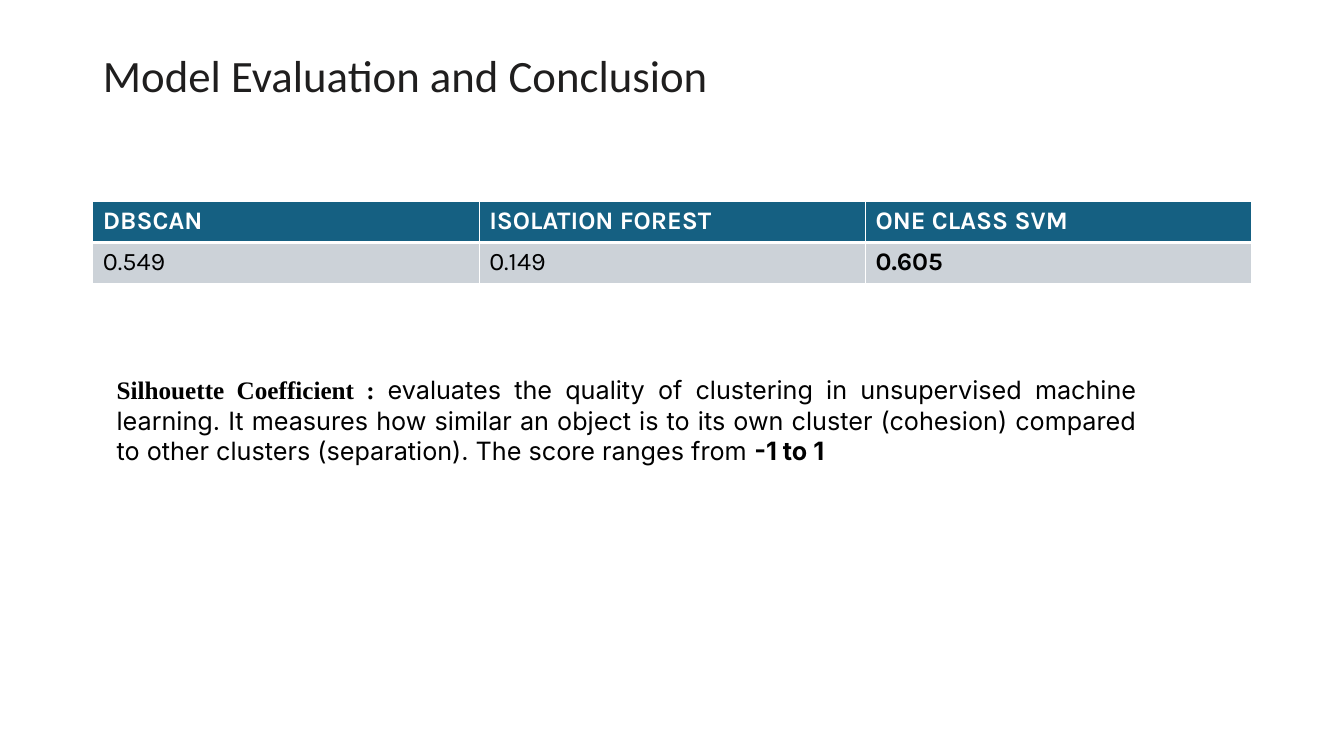
from dataclasses import dataclass

from lxml.etree import SubElement
from pptx import Presentation
from pptx.dml.color import RGBColor as RGB
from pptx.enum.text import MSO_ANCHOR as ANCHOR, MSO_AUTO_SIZE as FIT, PP_ALIGN as ALIGN
from pptx.oxml.ns import qn
from pptx.util import Cm, Pt


@dataclass(frozen=True)
class Theme:
    title_font: str = "Calibri"
    table_font: str = "Karla"
    term_font: str = "Times New Roman"
    body_font: str = "Inter"
    title_size: int = 32
    text_size: int = 18
    title: str = "1F1E1E"
    text: str = "000000"
    light: str = "FFFFFF"
    header: str = "156082"
    band: str = "CCD2D8"


def apply(obj, formats):
    for name, value in formats.items():
        setattr(obj, name, value)


class Deck:
    def __init__(self, theme):
        self.theme = theme
        self.prs = Presentation()
        apply(self.prs, {"slide_width": Cm(33.87), "slide_height": Cm(19.05)})
        self.s = self.prs.slides.add_slide(self.prs.slide_layouts[5])

    def run(self, p, text, font, color, size=None, bold=False):
        r = p.add_run()
        r.text = text
        apply(r.font, {"name": font, "size": Pt(size or self.theme.text_size), "bold": bold})
        r.font.color.rgb = RGB.from_string(color)

    def title(self, text, left, top, width, height):
        t = self.theme
        sp = self.s.shapes.title
        apply(sp, {"left": Cm(left), "top": Cm(top), "width": Cm(width), "height": Cm(height)})
        tf = sp.text_frame
        apply(tf, {"auto_size": FIT.NONE, "word_wrap": True,
                   "vertical_anchor": ANCHOR.TOP, "margin_top": Cm(0.34)})
        p = tf.paragraphs[0]
        apply(p, {"alignment": ALIGN.LEFT, "line_spacing": 0.9})
        self.run(p, text, t.title_font, t.title, t.title_size)

    def borders(self, cell, widths):
        tc_pr = cell._tc.get_or_add_tcPr()
        for i, (side, width) in enumerate(widths.items()):
            ln = SubElement(tc_pr, qn(f"a:ln{side}"), w=str(Pt(width)))
            fill = SubElement(ln, qn("a:solidFill"))
            SubElement(fill, qn("a:srgbClr"), val=self.theme.light)
            tc_pr.insert(i, ln)

    def table(self, scores, best, left, top, width, row_height):
        t = self.theme
        rows = [list(scores), list(scores.values())]
        table = self.s.shapes.add_table(len(rows), len(scores), Cm(left), Cm(top),
                                        Cm(width), Cm(row_height * len(rows))).table
        table.horz_banding = False
        for i, row in enumerate(rows):
            is_header = i == 0
            fill, color = (t.header, t.light) if is_header else (t.band, t.text)
            for j, text in enumerate(row):
                cell = table.cell(i, j)
                cell.fill.solid()
                cell.fill.fore_color.rgb = RGB.from_string(fill)
                self.run(cell.text_frame.paragraphs[0], text, t.table_font, color,
                         bold=is_header or rows[0][j] == best)
                self.borders(cell, {"L": 1, "R": 1, "T": 1 if is_header else 3,
                                    "B": 3 if is_header else 1})

    def paragraph(self, parts, left, top, width, height, margin_right):
        tf = self.s.shapes.add_textbox(Cm(left), Cm(top), Cm(width), Cm(height)).text_frame
        apply(tf, {"word_wrap": True, "auto_size": FIT.SHAPE_TO_FIT_TEXT,
                   "margin_right": Cm(margin_right)})
        p = tf.paragraphs[0]
        p.alignment = ALIGN.JUSTIFY
        for text, font, bold in parts:
            self.run(p, text, font, self.theme.text, bold=bold)


def main():
    theme = Theme()
    deck = Deck(theme)
    deck.title("Model Evaluation and Conclusion", 2.34, 1.02, 29.21, 3.68)
    scores = {"DBSCAN": "0.549", "ISOLATION FOREST": "0.149", "ONE CLASS SVM": "0.605"}
    deck.table(scores, "ONE CLASS SVM", 2.34, 5.08, 29.21, 1.03)
    deck.paragraph([
        ("Silhouette Coefficient : ", theme.term_font, True),
        ("evaluates the quality of clustering in unsupervised machine learning. "
         "It measures how similar an object is to its own cluster (cohesion) compared "
         "to other clusters (separation). The score ranges from ", theme.body_font, False),
        ("-1 to 1", theme.body_font, True),
    ], 2.69, 9.32, 28.14, 2.57, margin_right=2.18)
    deck.prs.save("out.pptx")


if __name__ == "__main__":
    main()
